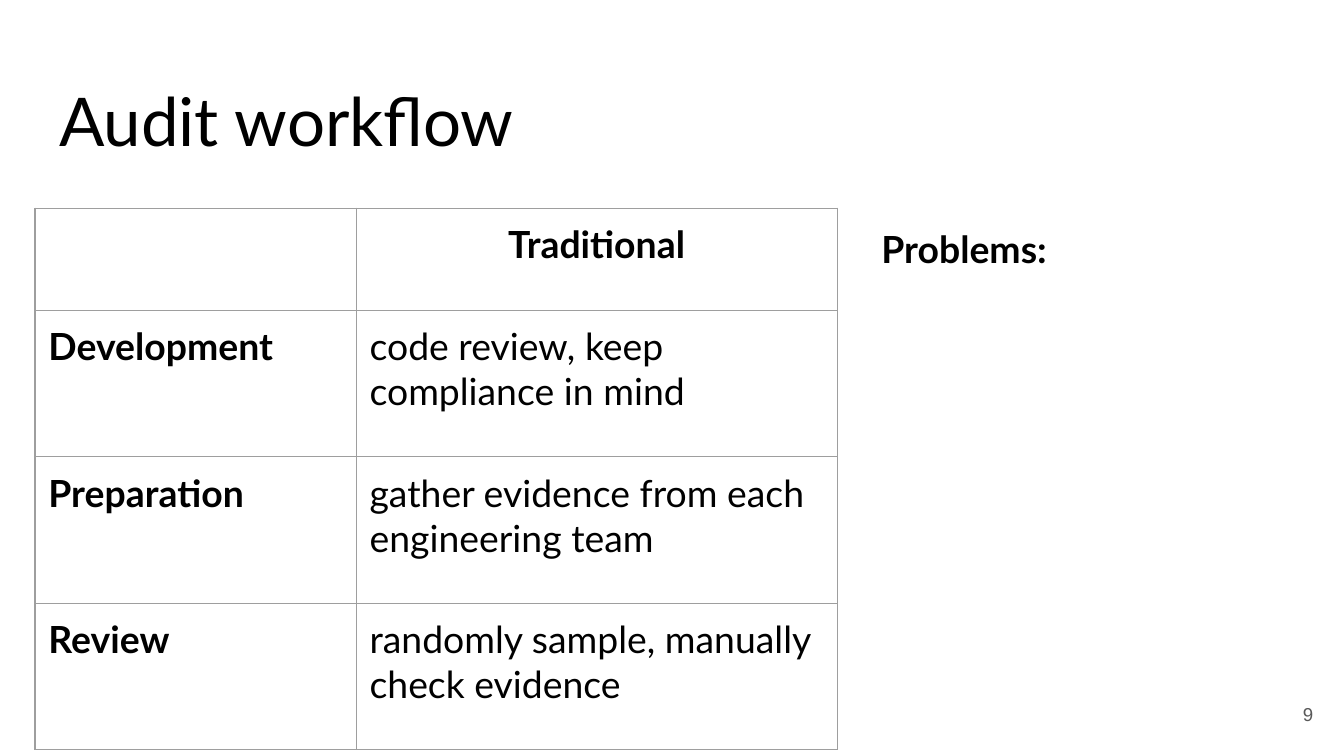
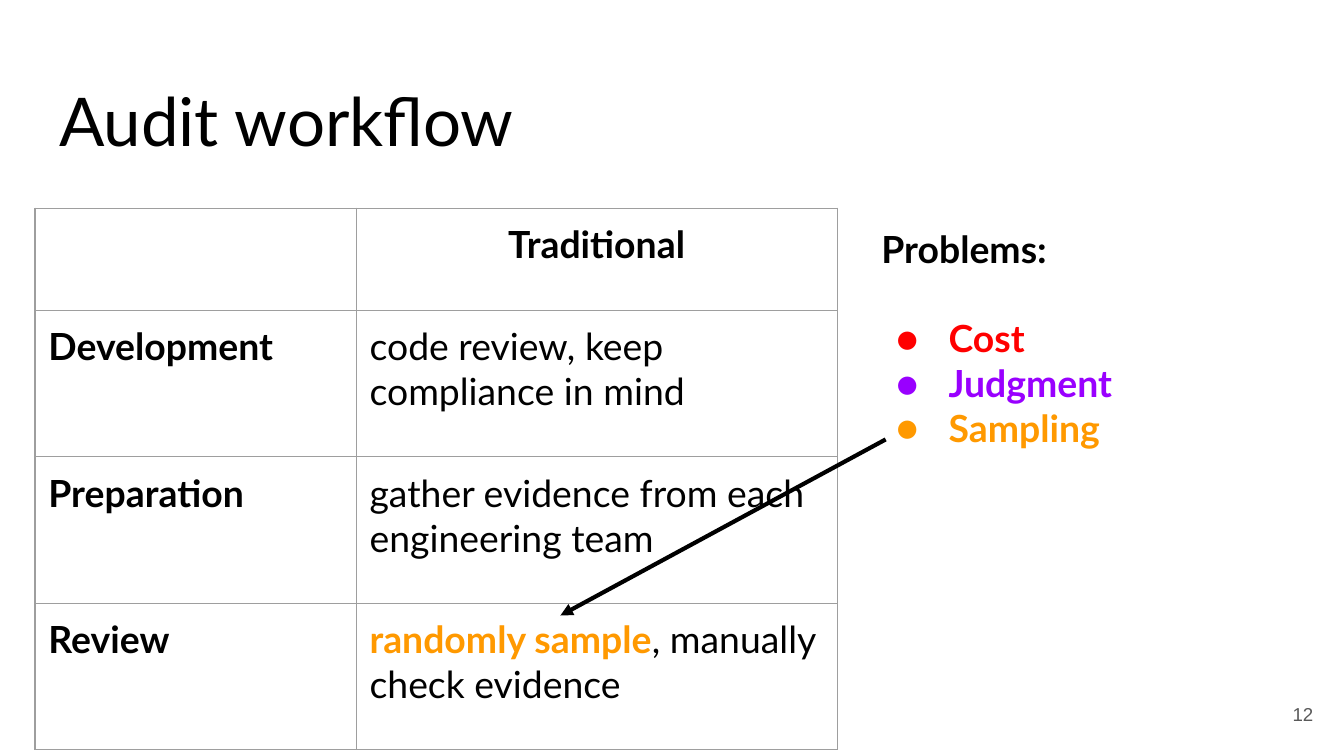
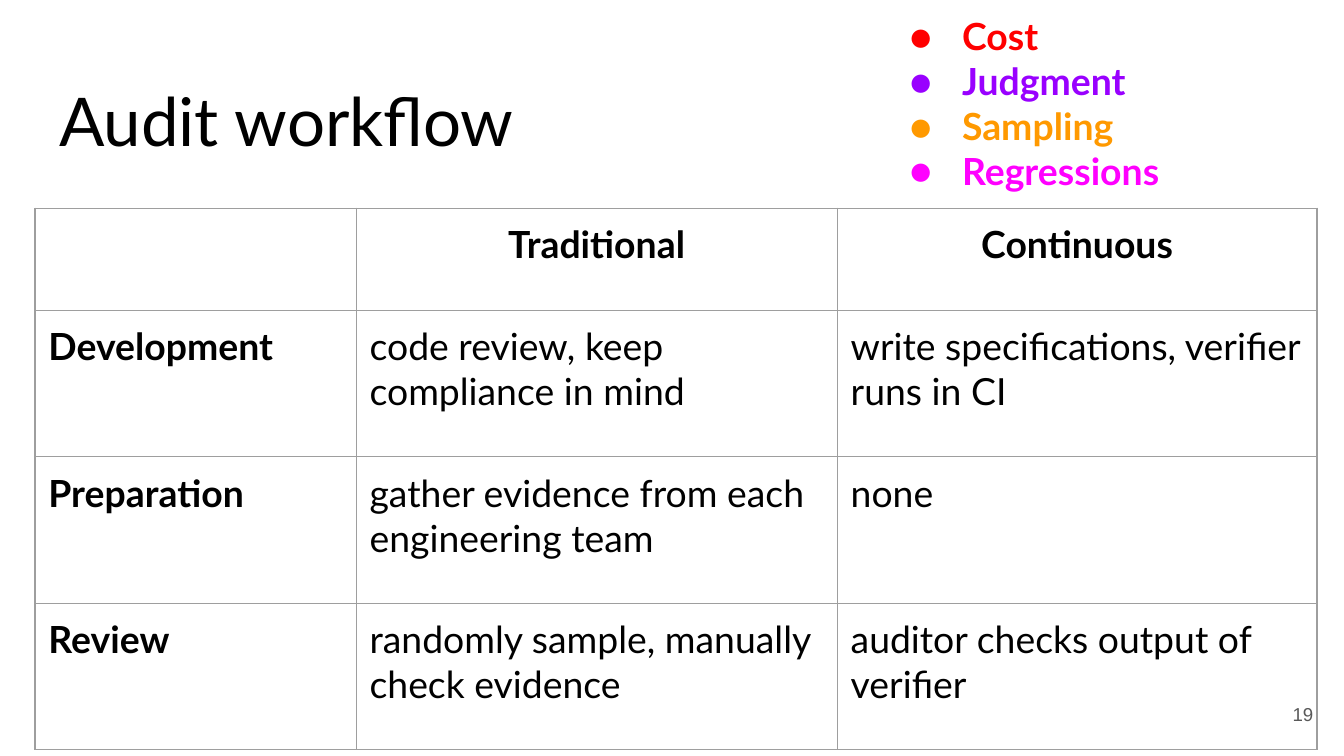
from dataclasses import dataclass
from itertools import product

from lxml import etree
from pptx import Presentation
from pptx import util as u
from pptx.dml.color import RGBColor
from pptx.enum import shapes, text
from pptx.oxml import parse_xml
from pptx.oxml.ns import nsdecls, qn


@dataclass(frozen=True)
class Theme:
    font: str = "Lato"
    number_font: str = "Arial"
    ink: str = "000000"
    muted: str = "595959"
    border: str = "9E9E9E"
    white: str = "FFFFFF"
    title_size: int = 36
    body_size: int = 20
    number_size: int = 10
    inset: float = 0.1
    border_width: float = 0.75
    arrow_width: float = 2.25


T = Theme()
PROBLEMS = {
    "Cost": "FF0000",
    "Judgment": "9900FF",
    "Sampling": "FF9900",
    "Regressions": "FF00FF",
}
STAGES = ["", "Development", "Preparation", "Review"]
TRADITIONAL = [
    "Traditional",
    "code review, keep compliance in mind",
    "gather evidence from each engineering team",
    "randomly sample, manually check evidence",
]
CONTINUOUS = [
    "Continuous",
    "write specifications, verifier runs in CI",
    "none",
    "auditor checks output of verifier",
]
COLUMN_WIDTHS = [2.39, 3.58, 3.57]
ROW_HEIGHTS = [0.76, 1.09, 1.09, 1.09]
TABLE_ORIGIN = (0.26, 1.55)
SIDE_BOX = (6.46, 1.58, 3.04, 3.95)
CORNER_BOX = (6.56, 0, 3.04, 2.38)


def style(p, color=T.ink, size=T.body_size, bold=False, font=T.font):
    for r in p.runs:
        r.font.name = font
        r.font.size = u.Pt(size)
        r.font.bold = bold
        r.font.color.rgb = RGBColor.from_string(color)


def set_frame(tf, anchor=text.MSO_ANCHOR.TOP):
    tf.word_wrap = True
    tf.auto_size = text.MSO_AUTO_SIZE.NONE
    tf.vertical_anchor = anchor
    tf.margin_left = tf.margin_right = u.Inches(T.inset)
    tf.margin_top = tf.margin_bottom = u.Inches(T.inset)


def add_box(s, box, anchor=text.MSO_ANCHOR.TOP):
    tf = s.shapes.add_textbox(*map(u.Inches, box)).text_frame
    set_frame(tf, anchor)
    return tf


def add_page(prs, title, number):
    s = prs.slides.add_slide(prs.slide_layouts[5])
    s.background.fill.solid()
    s.background.fill.fore_color.rgb = RGBColor.from_string(T.white)
    sp = s.shapes.title
    sp.left, sp.top, sp.width, sp.height = map(u.Inches, (0.34, 0.49, 9.32, 0.63))
    sp.text_frame.text = title
    set_frame(sp.text_frame)
    p = sp.text_frame.paragraphs[0]
    p.alignment = text.PP_ALIGN.LEFT
    style(p, size=T.title_size)
    tf = add_box(s, (9.27, 5.1, 0.6, 0.43), text.MSO_ANCHOR.MIDDLE)
    tf.text = str(number)
    p = tf.paragraphs[0]
    p.alignment = text.PP_ALIGN.RIGHT
    style(p, T.muted, T.number_size, font=T.number_font)
    return s


def set_borders(cell):
    tcPr = cell._tc.get_or_add_tcPr()
    for side in ("lnL", "lnR", "lnT", "lnB"):
        tcPr.append(parse_xml(
            f'<a:{side} {nsdecls("a")} w="{u.Pt(T.border_width)}"><a:solidFill>'
            f'<a:srgbClr val="{T.border}"/></a:solidFill></a:{side}>'))


def fill_cell(cell, value, header, bold, highlight):
    set_borders(cell)
    cell.fill.background()
    cell.margin_left = cell.margin_right = u.Inches(T.inset)
    cell.margin_top = cell.margin_bottom = u.Inches(T.inset)
    p = cell.text_frame.paragraphs[0]
    p.alignment = text.PP_ALIGN.CENTER if header else text.PP_ALIGN.LEFT
    phrase, color = highlight
    if phrase and value.startswith(phrase):
        p.text = phrase
        p.add_run().text = value[len(phrase):]
        style(p)
        first = p.runs[0].font
        first.bold = True
        first.color.rgb = RGBColor.from_string(color)
    else:
        p.text = value
        style(p, bold=bold)


def add_workflow_table(s, origin, columns, highlight=("", T.ink)):
    widths = COLUMN_WIDTHS[:len(columns)]
    size = (sum(widths), sum(ROW_HEIGHTS))
    table = s.shapes.add_table(
        len(ROW_HEIGHTS), len(columns), *map(u.Inches, origin + size)).table
    table.first_row = table.horz_banding = False
    for column, width in zip(table.columns, widths):
        column.width = u.Inches(width)
    for row, height in zip(table.rows, ROW_HEIGHTS):
        row.height = u.Inches(height)
    for i, j in product(range(len(ROW_HEIGHTS)), range(len(columns))):
        fill_cell(table.cell(i, j), columns[j][i], i == 0, i == 0 or j == 0, highlight)


def add_bullet(p, color):
    pPr = p._p.get_or_add_pPr()
    pPr.set("marL", str(u.Inches(0.5)))
    pPr.set("indent", str(u.Inches(-0.39)))
    clr = etree.SubElement(pPr, qn("a:buClr"))
    etree.SubElement(clr, qn("a:srgbClr")).set("val", color)
    etree.SubElement(pPr, qn("a:buFont")).set("typeface", T.font)
    etree.SubElement(pPr, qn("a:buChar")).set("char", "●")


def add_problems(s, box, names, heading=""):
    tf = add_box(s, box)
    if heading:
        tf.text = heading
        style(tf.paragraphs[0], bold=True)
    for i, name in enumerate(names):
        p = tf.add_paragraph() if heading or i else tf.paragraphs[0]
        p.text = name
        add_bullet(p, PROBLEMS[name])
        if heading and i == 0:
            p.space_before = u.Pt(24)
        style(p, PROBLEMS[name], bold=True)


def add_arrow(s, start, end):
    cxn = s.shapes.add_connector(
        shapes.MSO_CONNECTOR.STRAIGHT, *map(u.Inches, start + end))
    cxn.line.color.rgb = RGBColor.from_string(T.ink)
    cxn.line.width = u.Pt(T.arrow_width)
    spPr = cxn._element.spPr
    etree.SubElement(spPr.find(qn("a:ln")), qn("a:tailEnd")).set("type", "triangle")
    etree.SubElement(spPr, qn("a:effectLst"))


def problems_slide(prs, number, names=(), highlight=("", T.ink)):
    s = add_page(prs, "Audit workflow", number)
    add_workflow_table(s, TABLE_ORIGIN, [STAGES, TRADITIONAL], highlight)
    add_problems(s, SIDE_BOX, names, "Problems:")
    return s


def comparison_slide(prs, number):
    s = add_page(prs, "Audit workflow", number)
    add_workflow_table(s, TABLE_ORIGIN, [STAGES, TRADITIONAL, CONTINUOUS])
    add_problems(s, CORNER_BOX, PROBLEMS)


def main():
    prs = Presentation()
    prs.slide_width = u.Inches(10)
    prs.slide_height = prs.slide_width * 9 // 16
    problems_slide(prs, 9)
    s = problems_slide(prs, 12, ["Cost", "Judgment", "Sampling"],
                       ("randomly sample", PROBLEMS["Sampling"]))
    add_arrow(s, (6.59, 3.27), (4.17, 4.58))
    comparison_slide(prs, 19)
    prs.save("out.pptx")


if __name__ == "__main__":
    main()
